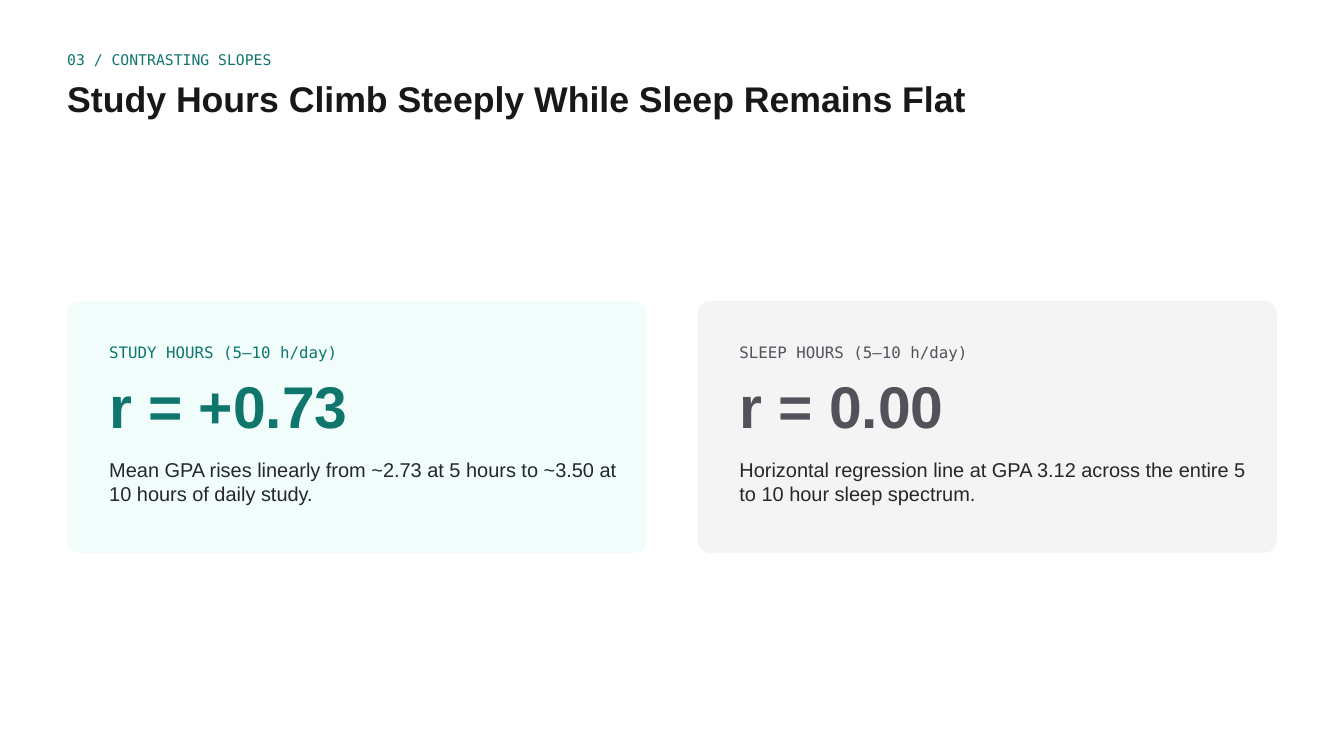
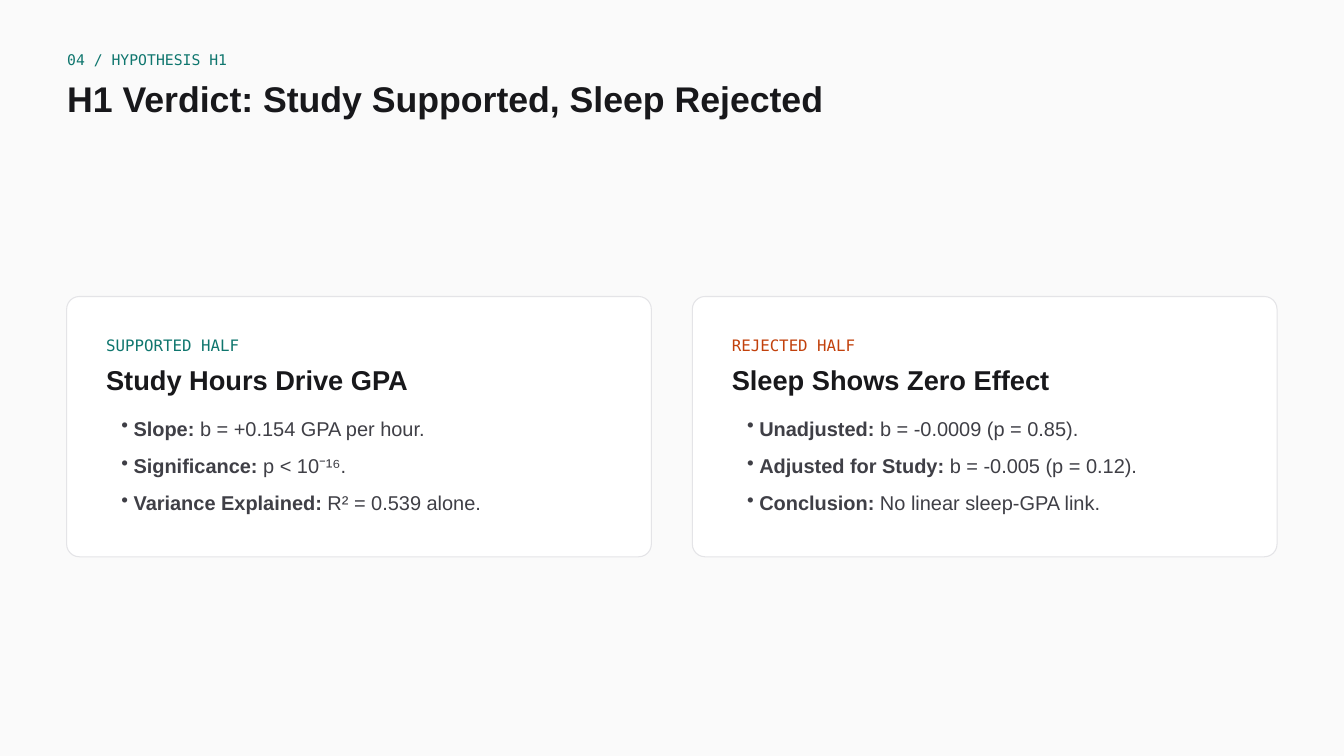
from dataclasses import dataclass

from lxml import etree
from pptx import Presentation
from pptx.dml.color import RGBColor
from pptx.enum.shapes import MSO_SHAPE
from pptx.oxml.ns import qn
from pptx.util import Cm, Pt

ROUNDED = MSO_SHAPE.ROUNDED_RECTANGLE


@dataclass(frozen=True)
class Theme:
    sans: str = "Arial"
    mono: str = "DejaVu Sans Mono"
    white: str = "FFFFFF"
    paper: str = "FAFAFA"
    mint: str = "F0FDFA"
    mist: str = "F4F4F5"
    border: str = "E4E4E7"
    teal: str = "0F766E"
    rust: str = "C2410C"
    grey: str = "52525B"
    ink: str = "18181B"
    body_ink: str = "27272A"
    list_ink: str = "3F3F46"
    kicker: float = 15.8
    label: float = 16.9
    body: float = 21.4
    heading: float = 29.2
    title: float = 38.2
    figure: float = 63
    leading: float = 1.2
    list_gap: float = 14.3
    margin: float = 2.54
    radius: float = 0.48
    text_width: float = 19.2


class Deck:
    def __init__(self, theme):
        self.theme = theme
        self.deck = Presentation()
        self.deck.slide_width = Cm(50.8)
        self.deck.slide_height = Cm(28.58)
        self.page = None

    def new_page(self, background, kicker, title):
        theme = self.theme
        self.page = self.deck.slides.add_slide(self.deck.slide_layouts[6])
        fill = self.page.background.fill
        fill.solid()
        fill.fore_color.rgb = RGBColor.from_string(background)
        self.text(theme.margin, 1.93, kicker, theme.kicker, theme.teal, theme.mono, width=45.72)
        self.text(theme.margin, 2.9, title, theme.title, theme.ink, bold=True, width=45.72)

    def card(self, left, top, width, height, fill, border=None):
        card = self.page.shapes.add_shape(ROUNDED, Cm(left), Cm(top), Cm(width), Cm(height))
        card.shadow.inherit = False
        card.adjustments[0] = self.theme.radius / height
        card.fill.solid()
        card.fill.fore_color.rgb = RGBColor.from_string(fill)
        if border:
            card.line.color.rgb = RGBColor.from_string(border)
            card.line.width = Pt(1.13)
        else:
            card.line.fill.background()

    def frame(self, left, top, width, height):
        box = self.page.shapes.add_textbox(Cm(left), Cm(top), Cm(width), Cm(height))
        frame = box.text_frame
        frame.word_wrap = True
        frame.margin_left = frame.margin_right = frame.margin_top = frame.margin_bottom = 0
        return frame

    def style(self, para, size, color, font, bold=None):
        para.line_spacing = Pt(size * self.theme.leading)
        para.font.size = Pt(size)
        para.font.name = font
        para.font.bold = bold
        para.font.color.rgb = RGBColor.from_string(color)

    def text(self, left, top, words, size, color, font=None, bold=False, width=None, lines=1):
        height = round(size * self.theme.leading * lines * 2.54 / 72, 2)
        para = self.frame(left, top, width or self.theme.text_width, height).paragraphs[0]
        para.text = words
        self.style(para, size, color, font or self.theme.sans, bold)

    def bullets(self, left, top, items):
        theme = self.theme
        frame = self.frame(left, top, theme.text_width, 3.84)
        for index, (term, detail) in enumerate(items):
            para = frame.add_paragraph() if index else frame.paragraphs[0]
            props = para._p.get_or_add_pPr()
            props.set("marL", str(Cm(1.04)))
            props.set("indent", str(Cm(-0.46)))
            etree.SubElement(props, qn("a:buChar")).set("char", "•")
            if index:
                para.space_before = Pt(theme.list_gap)
            for words, bold in ((term, True), (f" {detail}", False)):
                span = para.add_run()
                span.text = words
                span.font.bold = bold
            self.style(para, theme.body, theme.list_ink, theme.sans)


def build_slopes(deck):
    theme = deck.theme
    deck.new_page(theme.white, "03 / CONTRASTING SLOPES",
                  "Study Hours Climb Steeply While Sleep Remains Flat")
    width, gap, inset = 21.9, 1.92, 1.59
    cards = [
        (theme.mint, theme.teal, "STUDY HOURS (5–10 h/day)", "r = +0.73",
         "Mean GPA rises linearly from ~2.73 at 5 hours to ~3.50 at 10 hours of daily study."),
        (theme.mist, theme.grey, "SLEEP HOURS (5–10 h/day)", "r = 0.00",
         "Horizontal regression line at GPA 3.12 across the entire 5 to 10 hour sleep spectrum."),
    ]
    for index, (fill, accent, label, correlation, finding) in enumerate(cards):
        left = theme.margin + index * (width + gap)
        deck.card(left, 11.38, width, 9.52, fill)
        deck.text(left + inset, 12.95, label, theme.label, accent, theme.mono)
        deck.text(left + inset, 13.97, correlation, theme.figure, accent, bold=True)
        deck.text(left + inset, 17.3, finding, theme.body, theme.body_ink, lines=2)


def build_verdict(deck):
    theme = deck.theme
    deck.new_page(theme.paper, "04 / HYPOTHESIS H1",
                  "H1 Verdict: Study Supported, Sleep Rejected")
    width, gap, inset = 22.1, 1.55, 1.49
    cards = [
        (theme.teal, "SUPPORTED HALF", "Study Hours Drive GPA", [
            ("Slope:", "b = +0.154 GPA per hour."),
            ("Significance:", "p < 10⁻¹⁶."),
            ("Variance Explained:", "R² = 0.539 alone."),
        ]),
        (theme.rust, "REJECTED HALF", "Sleep Shows Zero Effect", [
            ("Unadjusted:", "b = -0.0009 (p = 0.85)."),
            ("Adjusted for Study:", "b = -0.005 (p = 0.12)."),
            ("Conclusion:", "No linear sleep-GPA link."),
        ]),
    ]
    for index, (accent, label, heading, evidence) in enumerate(cards):
        left = theme.margin - 0.02 + index * (width + gap)
        deck.card(left, 11.21, width, 9.84, theme.white, theme.border)
        deck.text(left + inset, 12.71, label, theme.label, accent, theme.mono)
        deck.text(left + inset, 13.73, heading, theme.heading, theme.ink, bold=True)
        deck.bullets(left + inset, 15.74, evidence)


def main():
    deck = Deck(Theme())
    build_slopes(deck)
    build_verdict(deck)
    deck.deck.save("out.pptx")


if __name__ == "__main__":
    main()
